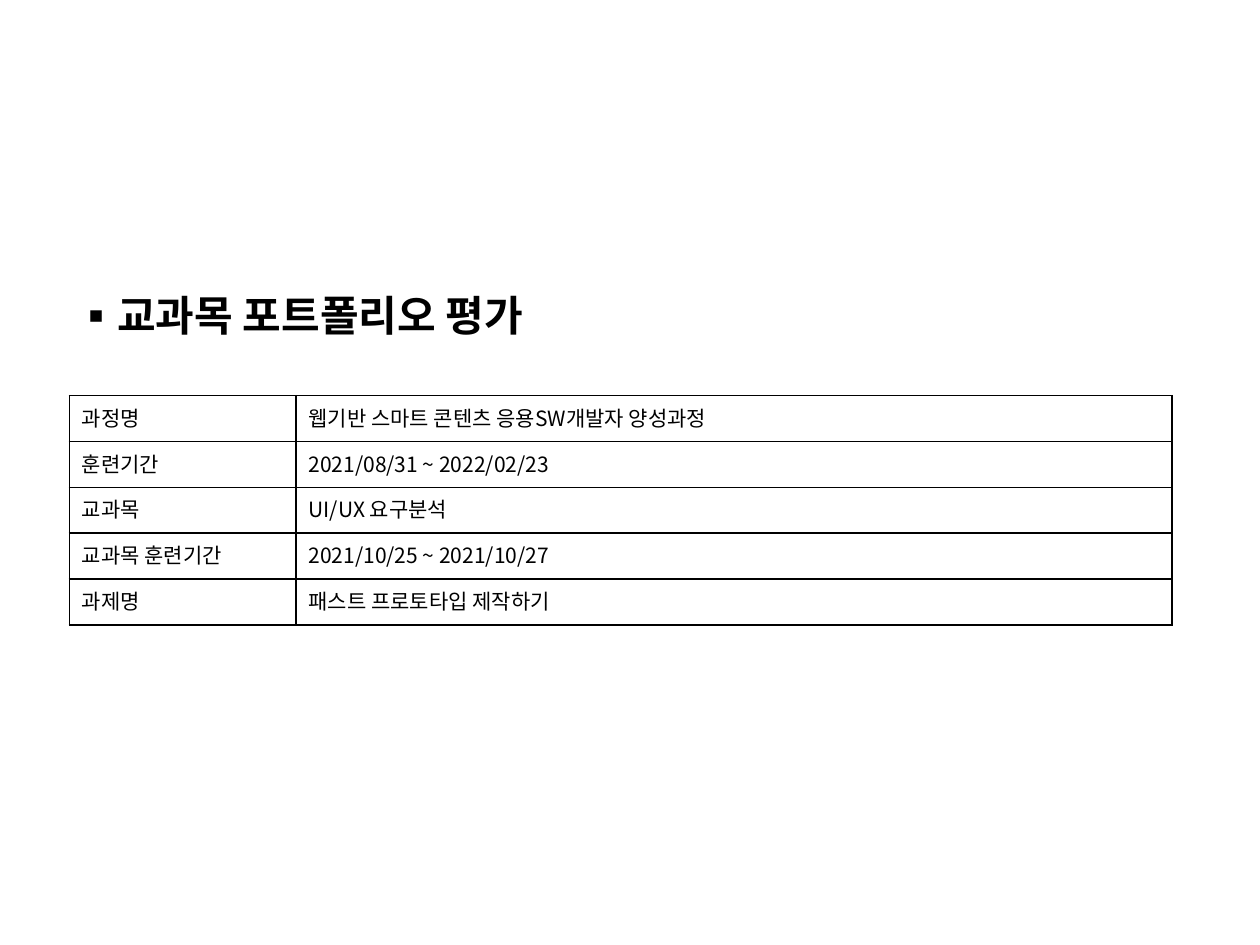
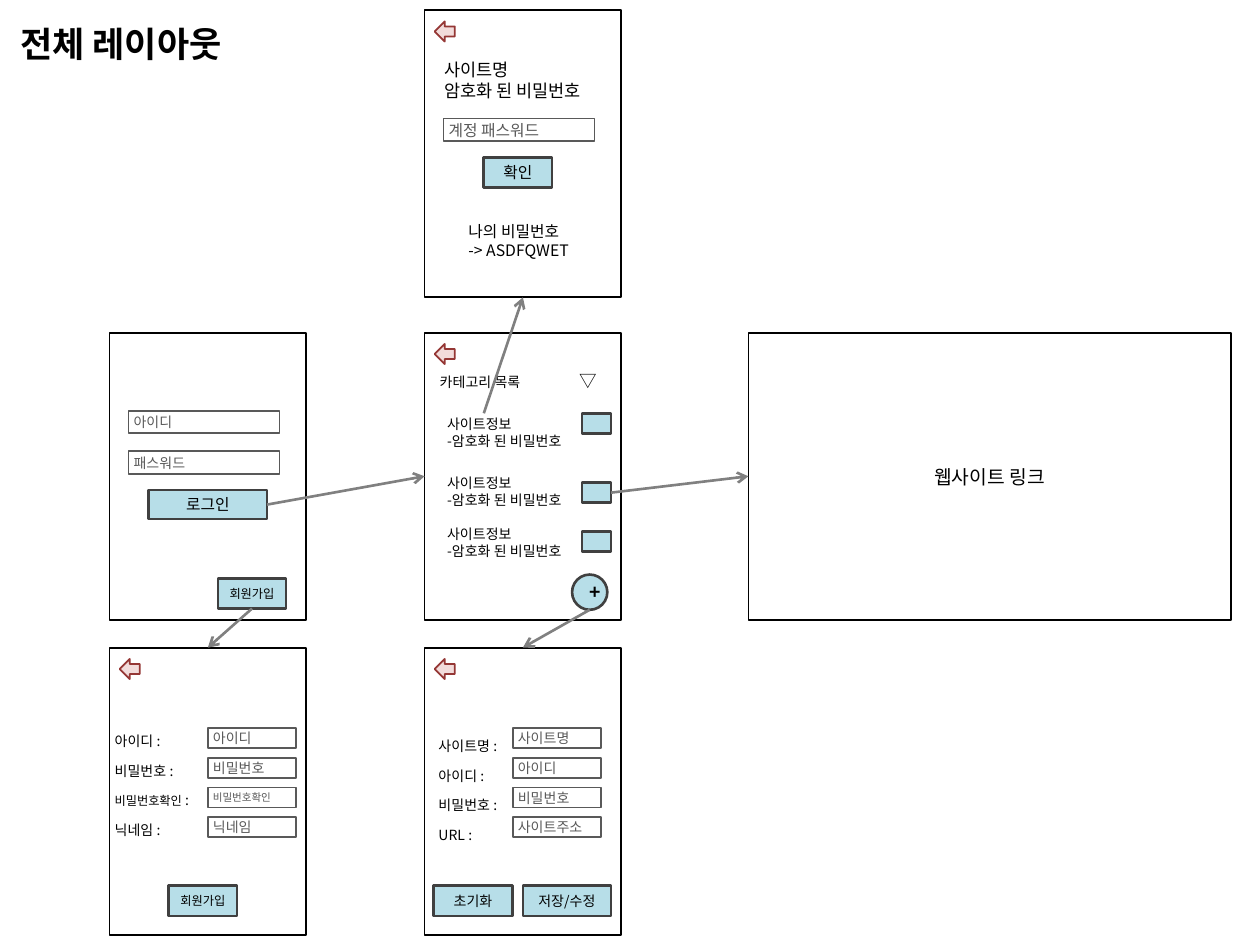
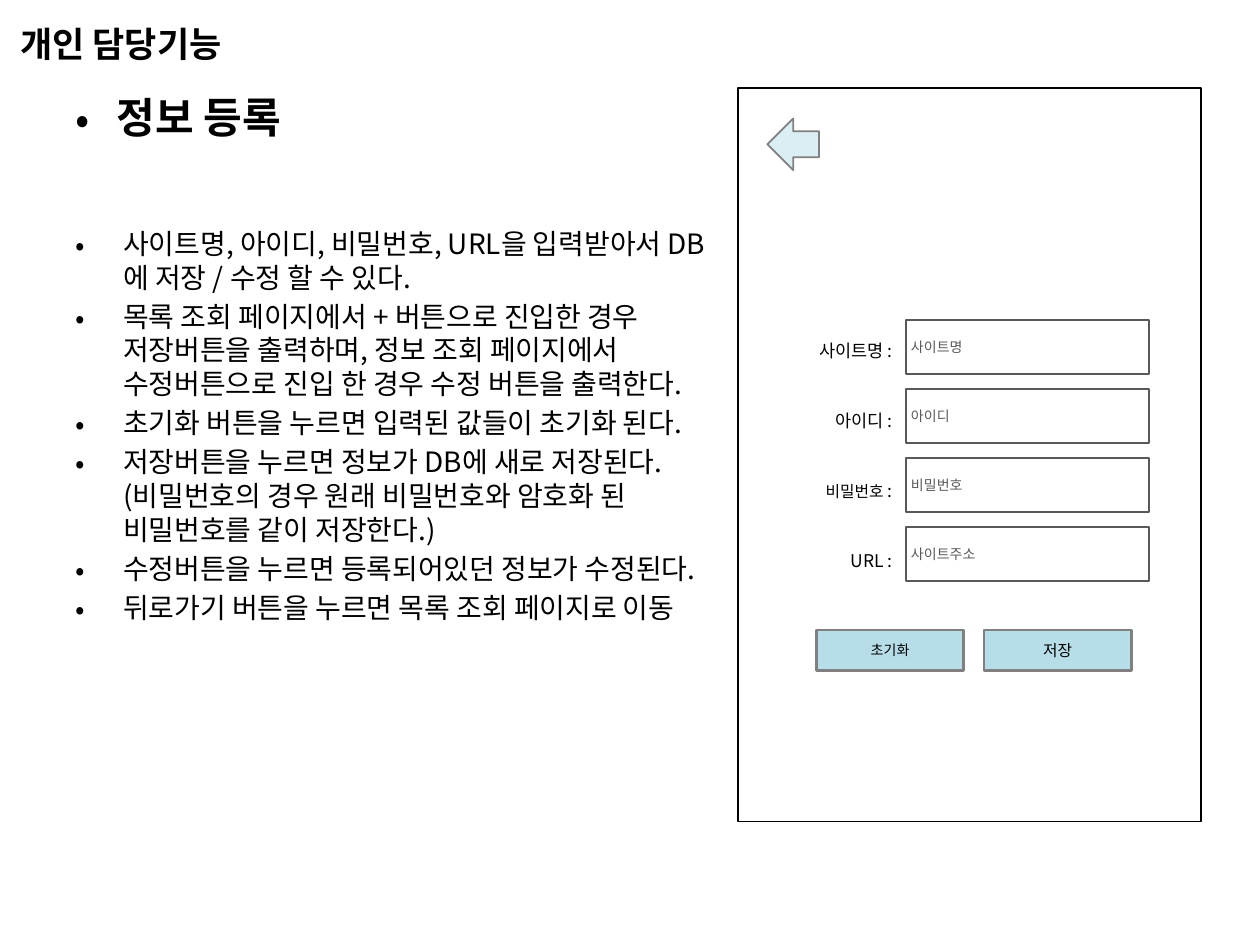
from lxml.etree import SubElement
from pptx import Presentation
from pptx.dml.color import RGBColor
from pptx.enum.shapes import MSO_CONNECTOR, MSO_SHAPE
from pptx.enum.text import MSO_ANCHOR, MSO_AUTO_SIZE, PP_ALIGN
from pptx.oxml.ns import qn
from pptx.util import Inches, Pt

# Shared style: every position is given in columns and rows of this grid
SLIDE_WIDTH, SLIDE_HEIGHT = Inches(10), Inches(7.5)
COLUMN, ROW = SLIDE_WIDTH // 100, SLIDE_HEIGHT // 75
FONT = "Noto Sans CJK KR"
COLORS = {
    "ink": "000000", "field": "595959", "button": "B7DEE8",
    "button_edge": "404040", "gray": "808080", "back": "F2DCDB",
    "back_edge": "953735", "pale_back": "DBEEF4",
}
TOP, LEFT, BOTTOM, RIGHT = range(4)
FIELD_INSET = (0.4, 0.5, 1, 0.5)
FLAT_INSET = (0, 0.5, 0, 0.5)
HEADING_INSET = (0.4, 0.5, 0.4, 0.5)
SCREEN_WIDTH, SCREEN_HEIGHT = 15.6, 22.8


def rgb(color):
    return RGBColor.from_string(COLORS[color])


def place(x, y, width, height):
    return int(x * COLUMN), int(y * ROW), int(width * COLUMN), int(height * ROW)


# Text
def write(frame, paragraphs, size, color="ink", bold=False, align=PP_ALIGN.LEFT,
          leading=None, before=0, bullet=None, hanging=0, tab=None):
    """Fill a text frame; a paragraph is a string or a list of (text, size) runs."""
    for index, content in enumerate(paragraphs):
        paragraph = frame.add_paragraph() if index else frame.paragraphs[0]
        paragraph.alignment = align
        if leading:
            paragraph.line_spacing = Pt(leading)
        if index and before:
            paragraph.space_before = Pt(before)
        properties = paragraph._p.get_or_add_pPr()
        if bullet:
            properties.set("marL", str(int(hanging * COLUMN)))
            properties.set("indent", str(int(-hanging * COLUMN)))
            SubElement(properties, qn("a:buFont"), typeface=FONT)
            SubElement(properties, qn("a:buChar"), char=bullet)
        if tab:
            stops = SubElement(properties, qn("a:tabLst"))
            SubElement(stops, qn("a:tab"), pos=str(int(tab * COLUMN)), algn="l")
        runs = [(content, size)] if isinstance(content, str) else content
        for text, run_size in runs:
            run = paragraph.add_run()
            run.text = text
            run.font.size = Pt(run_size)
            run.font.bold = bold
            run.font.name = FONT
            run.font.color.rgb = rgb(color)
            SubElement(run._r.get_or_add_rPr(), qn("a:ea"), typeface=FONT)


def set_inset(frame, inset):
    left, top, right, bottom = inset
    frame.margin_left, frame.margin_right = int(left * COLUMN), int(right * COLUMN)
    frame.margin_top, frame.margin_bottom = int(top * ROW), int(bottom * ROW)


def label(slide, area, paragraphs, size, inset=(1, 0.5, 1, 0.5), wrap=True,
          grow=True, anchor=MSO_ANCHOR.TOP, **text_format):
    frame = slide.shapes.add_textbox(*place(*area)).text_frame
    frame.word_wrap = wrap
    frame.auto_size = MSO_AUTO_SIZE.SHAPE_TO_FIT_TEXT if grow else MSO_AUTO_SIZE.NONE
    frame.vertical_anchor = anchor
    set_inset(frame, inset)
    write(frame, paragraphs, size, **text_format)


def heading(slide, text):
    label(slide, (1.2, 1.3, 22.7, 4.4), [text], 20, HEADING_INSET, bold=True)


def bullet_title(slide, y, text, bullet):
    label(slide, (5, y, 90, 12.5), [text], 24, grow=False, bold=True,
          anchor=MSO_ANCHOR.MIDDLE, bullet=bullet, hanging=3.3)


# Wireframe parts
def panel(slide, area, fill=None, edge="ink", weight=1, kind=MSO_SHAPE.RECTANGLE):
    shape = slide.shapes.add_shape(kind, *place(*area))
    shape.shadow.inherit = False
    if fill:
        shape.fill.solid()
        shape.fill.fore_color.rgb = rgb(fill)
    else:
        shape.fill.background()
    shape.line.color.rgb = rgb(edge)
    shape.line.width = Pt(weight)
    return shape


def button(slide, area, text="", size=9, edge="button_edge", inset=None,
           kind=MSO_SHAPE.RECTANGLE, bold=False):
    shape = panel(slide, area, "button", edge, 1.5, kind)
    if inset:
        set_inset(shape.text_frame, inset)
    if text:
        write(shape.text_frame, [text], size, bold=bold, align=PP_ALIGN.CENTER)
    return shape


def field(slide, area, hint, size=8):
    shape = panel(slide, area, edge="field")
    set_inset(shape.text_frame, FIELD_INSET)
    write(shape.text_frame, [hint], size, color="field")


def field_column(slide, first, pitch, hints):
    x, y, width, height = first
    for index, (hint, size) in enumerate(hints):
        field(slide, (x, y + index * pitch, width, height), hint, size)


def back_arrow(slide, area, fill="back", edge="back_edge"):
    panel(slide, area, fill, edge, kind=MSO_SHAPE.LEFT_ARROW)


def screen(slide, x, y, has_back=True):
    outline = panel(slide, (x, y, SCREEN_WIDTH, SCREEN_HEIGHT))
    if has_back:
        back_arrow(slide, (x + 0.8, y + 0.9, 1.6, 1.6))
    return outline


def flow(slide, start, target, side):
    """Arrow from a grid point or a (shape, side) pair to a side of the target."""
    origin, detail = start
    from_point = isinstance(origin, (int, float))
    x, y = (int(origin * COLUMN), int(detail * ROW)) if from_point else (0, 0)
    arrow = slide.shapes.add_connector(MSO_CONNECTOR.STRAIGHT, x, y, x, y)
    if not from_point:
        arrow.begin_connect(origin, detail)
    arrow.end_connect(target, side)
    arrow.line.color.rgb = rgb("gray")
    arrow.line.width = Pt(1.5)
    SubElement(arrow.line._get_or_add_ln(), qn("a:tailEnd"), type="arrow")
    SubElement(arrow._element.spPr, qn("a:effectLst"))


# Table
def border(cell):
    properties = cell._tc.get_or_add_tcPr()
    for position, edge in enumerate(("lnL", "lnR", "lnT", "lnB")):
        line = SubElement(properties, qn(f"a:{edge}"), w=str(Pt(1)))
        fill = SubElement(line, qn("a:solidFill"))
        SubElement(fill, qn("a:srgbClr"), val=COLORS["ink"])
        properties.remove(line)
        properties.insert(position, line)


def summary_table(slide, area, widths, rows):
    table = slide.shapes.add_table(len(rows), len(widths), *place(*area)).table
    table.first_row = table.horz_banding = False
    for column, width in zip(table.columns, widths):
        column.width = int(width * COLUMN)
    for row_index, row in enumerate(rows):
        for column_index, text in enumerate(row):
            cell = table.cell(row_index, column_index)
            cell.fill.background()
            border(cell)
            write(cell.text_frame, [text], 12)


# Slides
def cover(slide):
    bullet_title(slide, 18.7, "교과목 포트폴리오 평가", "▪")
    summary_table(slide, (5.5, 31.4, 87.5, 18.2), (18, 69.5), [
        ("과정명", "웹기반 스마트 콘텐츠 응용SW개발자 양성과정"),
        ("훈련기간", "2021/08/31 ~ 2022/02/23"),
        ("교과목", "UI/UX 요구분석"),
        ("교과목 훈련기간", "2021/10/25 ~ 2021/10/27"),
        ("과제명", "패스트 프로토타입 제작하기"),
    ])


def overall_layout(slide):
    left, middle = 8.7, 33.7
    top, center, bottom = 0.8, 26.4, 51.4
    heading(slide, "전체 레이아웃")

    # Login
    screen(slide, left, center, has_back=False)
    field_column(slide, (10.2, 32.6, 12, 1.8), 3.2, [("아이디", 8), ("패스워드", 8)])
    login = button(slide, (11.8, 38.9, 9.4, 2.3), "로그인")
    join = button(slide, (17.3, 45.9, 5.4, 2.4), "회원가입", 7, inset=FLAT_INSET)

    # Sign-up
    sign_up = screen(slide, left, bottom)
    label(slide, (left, 56.6, 7.8, 10.5),
          ["아이디 :", "비밀번호 :", [("비밀번호확인", 7), (" :", 8)], "닉네임 :"],
          8, FIELD_INSET, leading=17)
    field_column(slide, (16.5, 57.8, 7, 1.6), 2.35,
                 [("아이디", 8), ("비밀번호", 8), ("비밀번호확인", 6), ("닉네임", 8)])
    button(slide, (13.4, 70.3, 5.4, 2.4), "회원가입", 7, inset=FLAT_INSET)

    # Site list
    site_list = screen(slide, middle, center)
    label(slide, (34.5, 28.9, 14.4, 2.7), [[("카테고리 목록\t", 8), ("▽", 10)]], 8,
          HEADING_INSET, tab=11.1)
    for y in (32.5, 37.2, 41.2):
        label(slide, (34.5, y, 14.4, 5), ["사이트정보", "-암호화 된 비밀번호"], 8)
    _, open_site, _ = [button(slide, (46.2, y, 2.3, 1.6)) for y in (32.8, 38.3, 42.2)]
    button(slide, (45.4, 45.6, 2.8, 2.8), "+", 11, kind=MSO_SHAPE.OVAL, bold=True)

    # Site detail
    detail = screen(slide, middle, top)
    label(slide, (34.3, 4.2, 14.2, 4.4), ["사이트명", "암호화 된 비밀번호"], 10, wrap=False)
    field(slide, (35.2, 9.4, 12, 1.8), "계정 패스워드", 9)
    button(slide, (38.4, 12.5, 5.4, 2.4), "확인")
    label(slide, (36.2, 17.1, 10.7, 4), ["나의 비밀번호", "-> ASDFQWET"], 9, wrap=False)

    # Site registration
    registration = screen(slide, middle, bottom)
    label(slide, (34.8, 57, 5.1, 10.2), ["사이트명 :", "아이디 :", "비밀번호 :", "URL :"],
          8, FLAT_INSET, wrap=False, leading=17)
    field_column(slide, (40.7, 57.8, 7, 1.6), 2.35,
                 [(hint, 8) for hint in ("사이트명", "아이디", "비밀번호", "사이트주소")])
    button(slide, (34.4, 70.3, 6.3, 2.4), "초기화", 8)
    button(slide, (41.5, 70.3, 7, 2.4), "저장/수정", 8, inset=FLAT_INSET)

    # Linked website
    website = panel(slide, (59.4, center, 38.3, SCREEN_HEIGHT))
    write(website.text_frame, ["웹사이트 링크"], 11, align=PP_ALIGN.CENTER)

    # Flow between screens
    flow(slide, (join, BOTTOM), sign_up, TOP)
    flow(slide, (login, RIGHT), site_list, LEFT)
    flow(slide, (46.8, 48.4), registration, TOP)
    flow(slide, (38.4, 32.8), detail, BOTTOM)
    flow(slide, (open_site, RIGHT), website, LEFT)


def personal_feature(slide):
    heading(slide, "개인 담당기능")
    bullet_title(slide, 3, "정보 등록", "•")
    label(slide, (5, 17.5, 52.8, 47.3), [
        "사이트명, 아이디, 비밀번호, URL을 입력받아서 DB에 저장 / 수정 할 수 있다.",
        "목록 조회 페이지에서 + 버튼으로 진입한 경우 저장버튼을 출력하며, "
        "정보 조회 페이지에서 수정버튼으로 진입 한 경우 수정 버튼을 출력한다.",
        "초기화 버튼을 누르면 입력된 값들이 초기화 된다.",
        "저장버튼을 누르면 정보가 DB에 새로 저장된다."
        "(비밀번호의 경우 원래 비밀번호와 암호화 된 비밀번호를 같이 저장한다.)",
        "수정버튼을 누르면 등록되어있던 정보가 수정된다.",
        "뒤로가기 버튼을 누르면 목록 조회 페이지로 이동",
    ], 16, grow=False, before=3.2, bullet="•", hanging=3.8)

    # Enlarged registration screen
    panel(slide, (58.6, 7, 36.7, 58.2))
    back_arrow(slide, (60.9, 9.4, 4.1, 4.1), "pale_back", "gray")
    label(slide, (60.9, 25.4, 10.9, 20.6),
          ["사이트명 :", "아이디 :", [("비밀번호", 9), (" :", 10)], "URL :"], 10,
          FIELD_INSET, align=PP_ALIGN.RIGHT, leading=20, before=20)
    field_column(slide, (71.9, 25.4, 19.3, 4.3), 5.47,
                 [(hint, 8) for hint in ("사이트명", "아이디", "비밀번호", "사이트주소")])
    button(slide, (64.8, 50, 11.7, 3.2), "초기화", 8, edge="gray")
    button(slide, (78.1, 50, 11.7, 3.2), "저장", edge="gray")


def main():
    deck = Presentation()
    deck.slide_width, deck.slide_height = SLIDE_WIDTH, SLIDE_HEIGHT
    blank = deck.slide_layouts[6]
    for build in (cover, overall_layout, personal_feature):
        build(deck.slides.add_slide(blank))
    deck.save("out.pptx")


if __name__ == "__main__":
    main()
